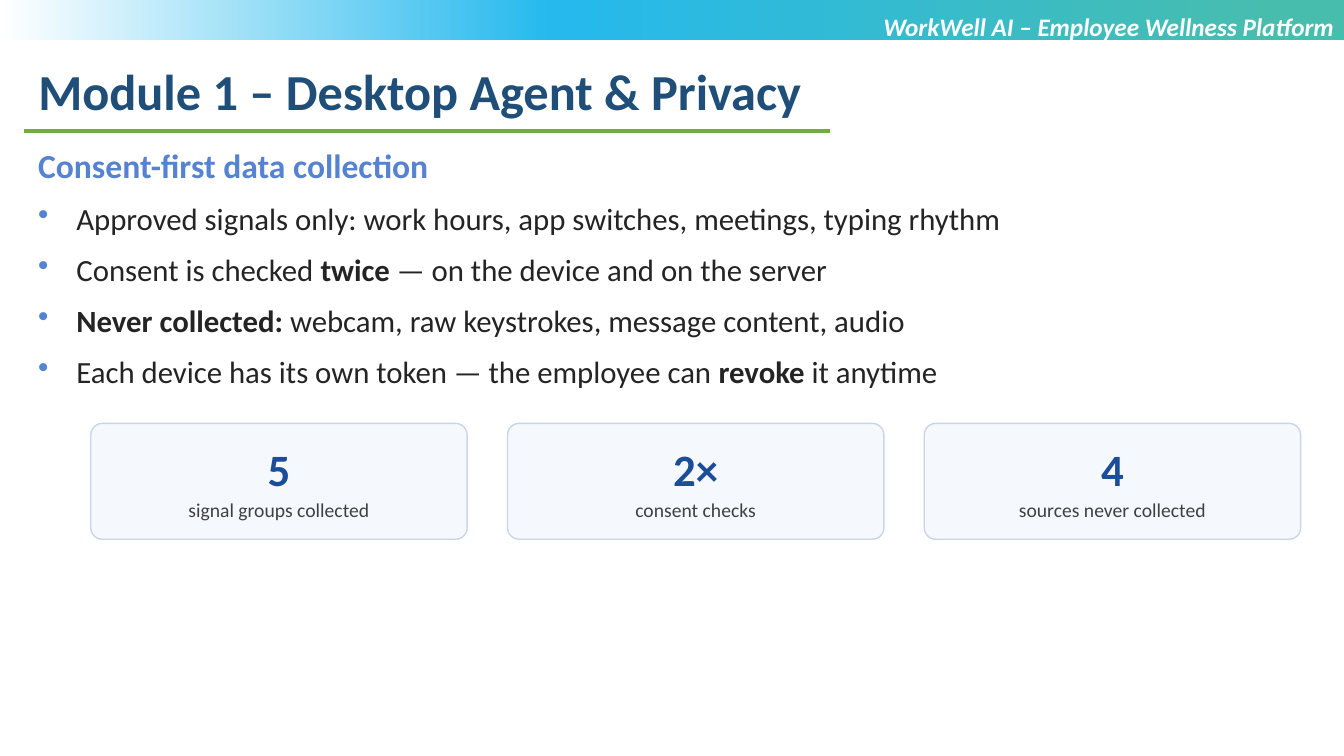
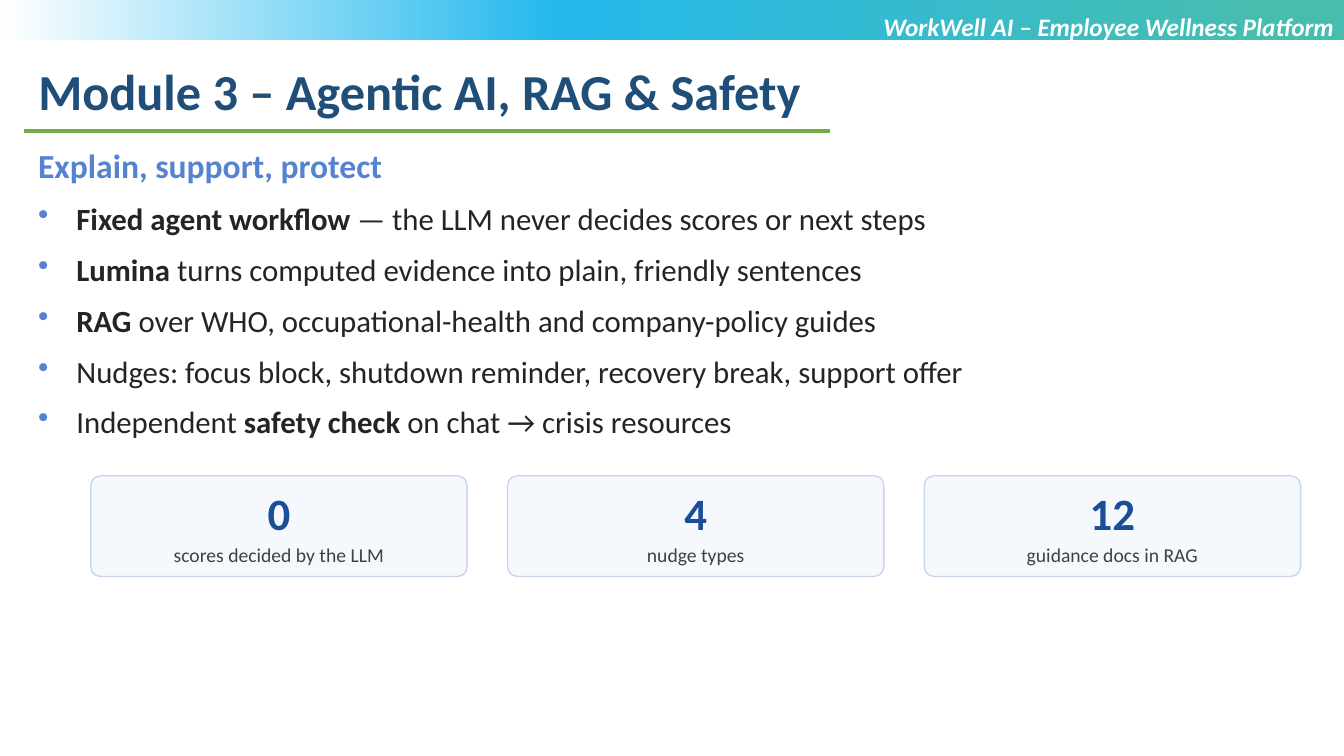
from lxml import etree
from pptx import Presentation
from pptx import util as u
from pptx.dml import color
from pptx.enum import shapes, text
from pptx.oxml import ns

COLOURS = {
    "title": "1F4E79", "heading": "5583D1", "body": "242424", "rule": "70AD47",
    "header": "FFFFFF", "card": "F5F9FD", "border": "C9D6E8",
    "value": "1C4D98", "caption": "404040",
}
BAND_STOPS = [(5, "47BDAE"), (59, "25B9ED"), (100, "FFFFFF")]
WIDTH, HEIGHT = 13.33, 7.5
HEADER_TEXT = "WorkWell AI – Employee Wellness Platform"
STYLES = {
    "title": {"size": 36, "bold": True},
    "header": {"size": 18, "bold": True, "italic": True},
    "heading": {"size": 24, "bold": True},
    "body": {"size": 22, "bold": False},
    "value": {"size": 32, "bold": True},
    "caption": {"size": 14, "bold": False},
}
SLIDES = [
    {
        "title": "Module 1 – Desktop Agent & Privacy",
        "heading": "Consent-first data collection",
        "bullets": [
            "Approved signals only: work hours, app switches, meetings, typing rhythm",
            "Consent is checked **twice** — on the device and on the server",
            "**Never collected:** webcam, raw keystrokes, message content, audio",
            "Each device has its own token — the employee can **revoke** it anytime",
        ],
        "cards_box": (0.9, 4.2, 12, 1.15),
        "cards": [("5", "signal groups collected"), ("2×", "consent checks"),
                  ("4", "sources never collected")],
    },
    {
        "title": "Module 3 – Agentic AI, RAG & Safety",
        "heading": "Explain, support, protect",
        "bullets": [
            "**Fixed agent workflow** — the LLM never decides scores or next steps",
            "**Lumina** turns computed evidence into plain, friendly sentences",
            "**RAG** over WHO, occupational-health and company-policy guides",
            "Nudges: focus block, shutdown reminder, recovery break, support offer",
            "Independent **safety check** on chat → crisis resources",
        ],
        "cards_box": (0.9, 4.72, 12, 1),
        "cards": [("0", "scores decided by the LLM"), ("4", "nudge types"),
                  ("12", "guidance docs in RAG")],
    },
]


def rgb(name):
    """Return the named colour."""
    return color.RGBColor.from_string(COLOURS[name])


def inches(box):
    """Turn a box of numbers into lengths."""
    return [u.Inches(value) for value in box]


def set_values(target, values):
    """Set each attribute in a dict of values."""
    for name, value in values.items():
        setattr(target, name, value)


def write(para, words, style):
    """Write words in a style, with bold between double asterisks."""
    for index, part in enumerate(words.split("**")):
        if part:
            span = para.add_run()
            span.text = part
            values = {"name": "Calibri", **STYLES[style]}
            values["size"] = u.Pt(values["size"])
            values["bold"] = values["bold"] or index % 2 == 1
            set_values(span.font, values)
            span.font.color.rgb = rgb(style)


def add_bullet(para):
    """Give a paragraph a hanging coloured bullet."""
    properties = para._p.get_or_add_pPr()
    properties.set("marL", str(u.Inches(0.38)))
    properties.set("indent", str(-u.Inches(0.38)))
    tint = etree.SubElement(properties, ns.qn("a:buClr"))
    etree.SubElement(tint, ns.qn("a:srgbClr"), val=COLOURS["heading"])
    etree.SubElement(properties, ns.qn("a:buChar"), char="•")


def add_text_box(page, box):
    """Add a wrapping text box and return its frame."""
    frame = page.shapes.add_textbox(*inches(box)).text_frame
    frame.word_wrap = True
    return frame


def add_band(page, layout, box):
    """Place the gradient band in the shared layout."""
    band = page.shapes.add_shape(shapes.MSO_SHAPE.RECTANGLE, *inches(box))
    band.shadow.inherit = False
    band.line.fill.background()
    band.fill.gradient()
    band.fill.gradient_angle = 180
    stops = band._element.spPr.find(".//" + ns.qn("a:gsLst"))
    for stop in list(stops):
        stops.remove(stop)
    for position, tint in BAND_STOPS:
        stop = etree.SubElement(stops, ns.qn("a:gs"), pos=str(position * 1000))
        etree.SubElement(stop, ns.qn("a:srgbClr"), val=tint)
    band._element.nvSpPr.cNvPr.set("id", "20")
    layout.shapes._spTree.insert(2, band._element)


def add_title(page, words, box):
    """Fill the title placeholder and underline it."""
    title = page.shapes.title
    set_values(title, dict(zip(("left", "top", "width", "height"), inches(box))))
    set_values(title.text_frame, {
        "word_wrap": True, "auto_size": text.MSO_AUTO_SIZE.NONE,
        "vertical_anchor": text.MSO_ANCHOR.TOP})
    para = title.text_frame.paragraphs[0]
    para.alignment = text.PP_ALIGN.LEFT
    write(para, words, "title")
    left, top, _, height = box
    ends = inches((left - 0.04, top + height + 0.04, left + 7.95, top + height + 0.04))
    rule = page.shapes.add_connector(shapes.MSO_CONNECTOR.STRAIGHT, *ends)
    rule.line.color.rgb = rgb("rule")
    rule.line.width = u.Pt(2.25)
    etree.SubElement(rule._element.spPr, ns.qn("a:effectLst"))


def add_header(page, box):
    """Write the platform name over the band."""
    para = add_text_box(page, box).paragraphs[0]
    para.alignment = text.PP_ALIGN.RIGHT
    write(para, HEADER_TEXT, "header")


def add_body(page, heading, bullets, box):
    """Write the heading and its bullets."""
    frame = add_text_box(page, box)
    write(frame.paragraphs[0], heading, "heading")
    for words in bullets:
        para = frame.add_paragraph()
        para.space_before = u.Pt(10)
        add_bullet(para)
        write(para, words, "body")


def add_card(page, value, caption, box):
    """Draw one rounded card with a figure and its caption."""
    card = page.shapes.add_shape(shapes.MSO_SHAPE.ROUNDED_RECTANGLE, *inches(box))
    card.adjustments[0] = 0.1
    card.shadow.inherit = False
    card.fill.solid()
    card.fill.fore_color.rgb = rgb("card")
    card.line.color.rgb = rgb("border")
    card.line.width = u.Pt(1)
    frame = card.text_frame
    sides = ("left", "top", "right", "bottom")
    set_values(frame, {f"margin_{side}": u.Inches(0.06) for side in sides})
    set_values(frame, {"word_wrap": True, "vertical_anchor": text.MSO_ANCHOR.MIDDLE})
    write(frame.paragraphs[0], value, "value")
    para = frame.add_paragraph()
    para.space_before = u.Pt(2)
    write(para, caption, "caption")
    for para in frame.paragraphs:
        para.alignment = text.PP_ALIGN.CENTER


def add_cards(page, cards, box, gap=0.4):
    """Spread the cards evenly across a box."""
    left, top, width, height = box
    card_width = (width - gap * (len(cards) - 1)) / len(cards)
    for index, (value, caption) in enumerate(cards):
        card_left = left + index * (card_width + gap)
        add_card(page, value, caption, (card_left, top, card_width, height))


def add_module_slide(deck, layout, content):
    """Build one module slide."""
    page = deck.slides.add_slide(layout)
    add_title(page, content["title"], (0.28, 0.55, 11.62, 0.71))
    add_body(page, content["heading"], content["bullets"], (0.28, 1.39, 11.6, 4.3))
    add_header(page, (6.66, 0.06, 6.67, 0.71))
    add_cards(page, content["cards"], content["cards_box"])
    return page


def main():
    """Build and save the deck."""
    deck = Presentation()
    deck.slide_width, deck.slide_height = inches((WIDTH, HEIGHT))
    layout = deck.slide_layouts.get_by_name("Title Only")
    pages = [add_module_slide(deck, layout, content) for content in SLIDES]
    add_band(pages[0], layout, (0, 0, WIDTH, 0.4))
    deck.save("out.pptx")


if __name__ == "__main__":
    main()
